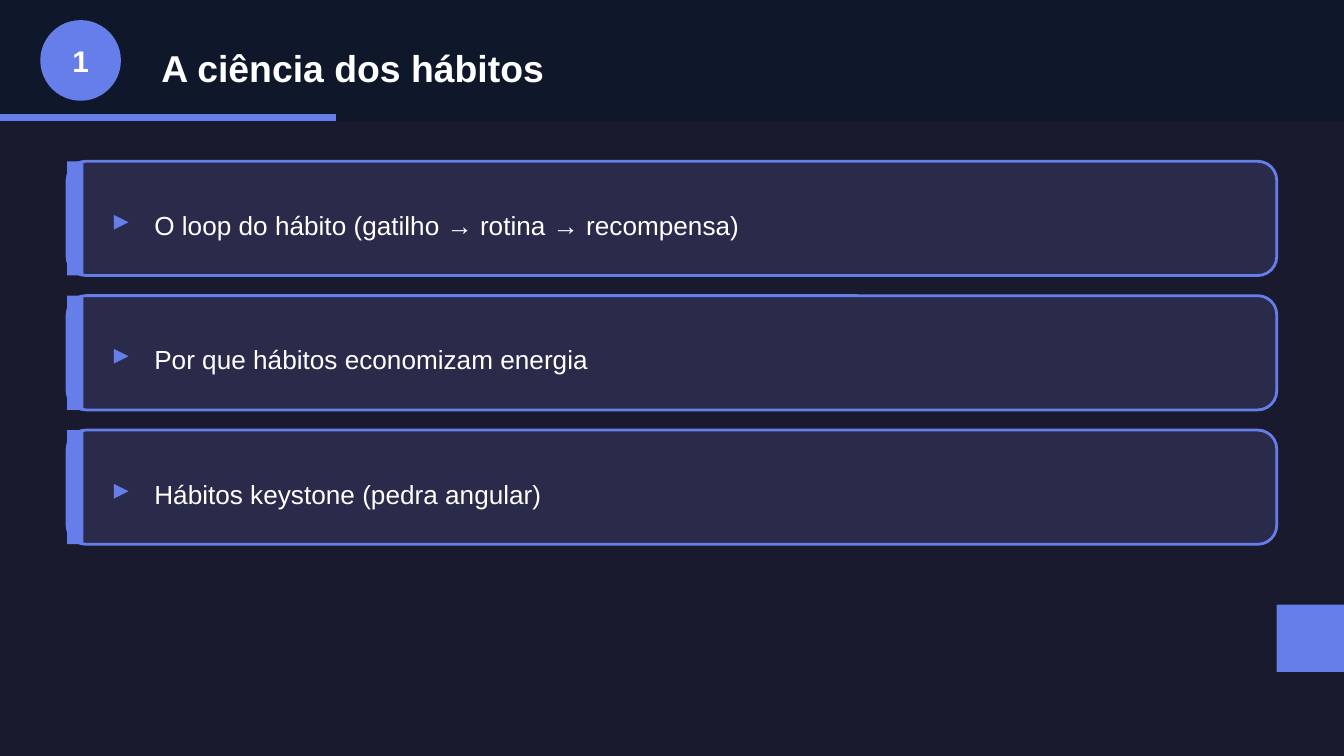
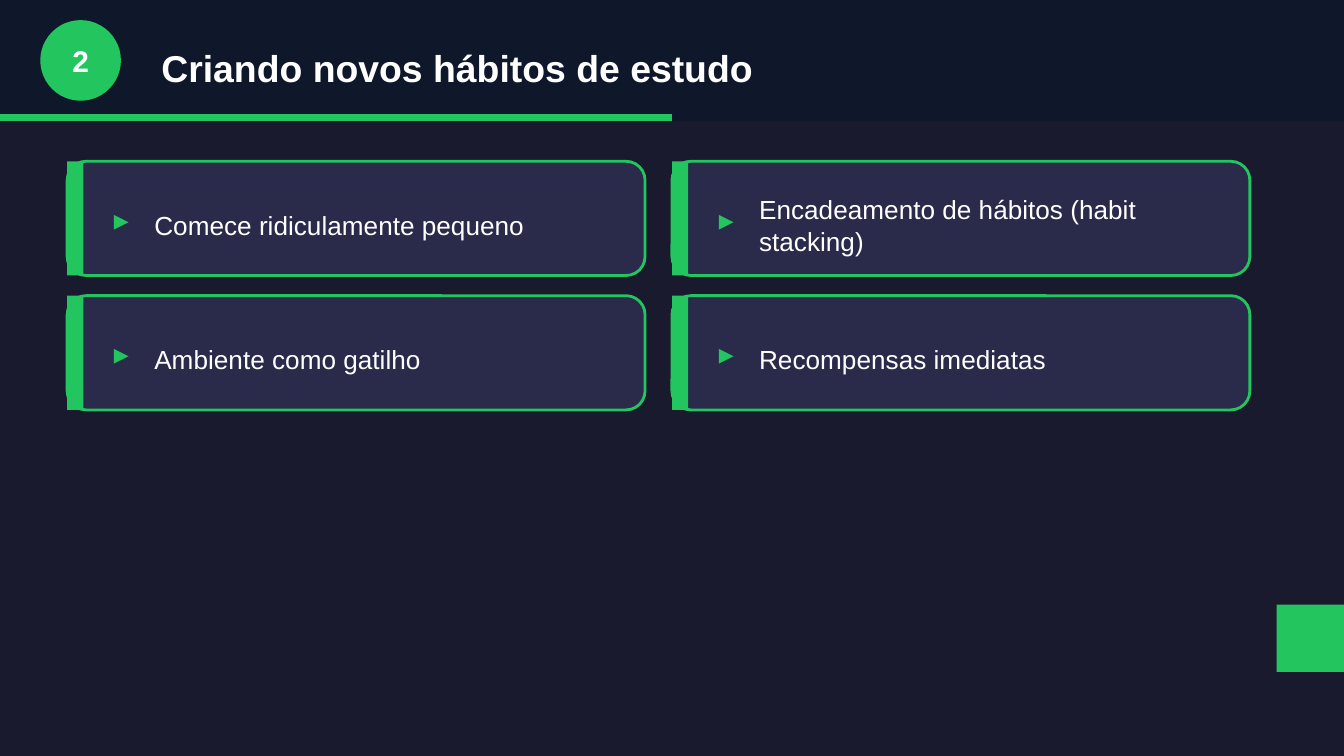
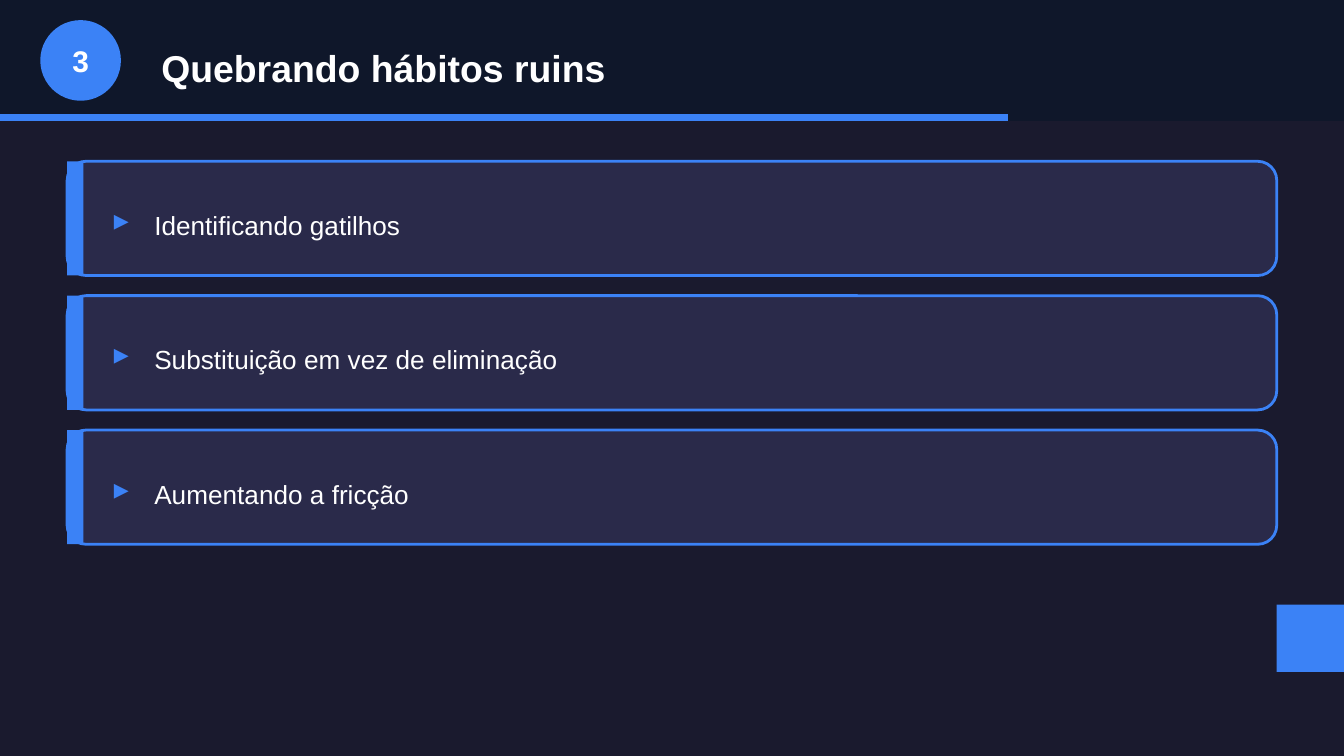
from pptx import Presentation
from pptx.dml.color import RGBColor
from pptx.enum.shapes import MSO_SHAPE
from pptx.enum.text import MSO_ANCHOR, MSO_AUTO_SIZE, PP_ALIGN
from pptx.util import Inches, Pt

COLORS = {
    "background": "1A1A2E",
    "band": "0F172A",
    "card": "2A2A4A",
    "text": "FFFFFF",
    "indigo": "667EEA",
    "green": "22C55E",
    "blue": "3B82F6",
}

FONTS = {
    "number": {"name": "Arial", "size": Pt(16), "bold": True},
    "title": {"name": "Arial", "size": Pt(20), "bold": True},
    "marker": {"name": "Arial", "size": Pt(16), "bold": True},
    "item": {"name": "Arial", "size": Pt(14), "bold": False},
}

FRAME = {
    "word_wrap": True,
    "auto_size": MSO_AUTO_SIZE.NONE,
    "vertical_anchor": MSO_ANCHOR.MIDDLE,
    "margin_left": Inches(0.1),
    "margin_right": Inches(0.1),
    "margin_top": Inches(0.05),
    "margin_bottom": Inches(0.05),
}

SLIDES = [
    ("A ciência dos hábitos", "indigo", 1, 9, [
        "O loop do hábito (gatilho → rotina → recompensa)",
        "Por que hábitos economizam energia",
        "Hábitos keystone (pedra angular)",
    ]),
    ("Criando novos hábitos de estudo", "green", 2, 4.3, [
        "Comece ridiculamente pequeno",
        "Encadeamento de hábitos (habit stacking)",
        "Ambiente como gatilho",
        "Recompensas imediatas",
    ]),
    ("Quebrando hábitos ruins", "blue", 1, 9, [
        "Identificando gatilhos",
        "Substituição em vez de eliminação",
        "Aumentando a fricção",
    ]),
]


def add_block(s, kind, x, y, w, h, fill, line=None):
    sp = s.shapes.add_shape(kind, Inches(x), Inches(y), Inches(w), Inches(h))
    sp.shadow.inherit = False
    sp.fill.solid()
    sp.fill.fore_color.rgb = RGBColor.from_string(COLORS[fill])
    if line:
        sp.line.color.rgb = RGBColor.from_string(COLORS[line])
        sp.line.width = Pt(1.5)
    else:
        sp.line.fill.background()


def put_text(sp, x, y, w, h, text, font, color="text", align=PP_ALIGN.LEFT):
    sp.left, sp.top, sp.width, sp.height = Inches(x), Inches(y), Inches(w), Inches(h)
    tf = sp.text_frame
    for key, value in FRAME.items():
        setattr(tf, key, value)
    p = tf.paragraphs[0]
    p.alignment = align
    r = p.add_run()
    r.text = text
    for key, value in FONTS[font].items():
        setattr(r.font, key, value)
    r.font.color.rgb = RGBColor.from_string(COLORS[color])


prs = Presentation()
prs.slide_width = Inches(10)
prs.slide_height = prs.slide_width * 9 // 16
bg = prs.slide_master.background.fill
bg.solid()
bg.fore_color.rgb = RGBColor.from_string(COLORS["background"])

for number, (heading, accent, columns, card_w, items) in enumerate(SLIDES, 1):
    s = prs.slides.add_slide(prs.slide_layouts[5])
    title = s.shapes.title

    add_block(s, MSO_SHAPE.RECTANGLE, 0, 0, 10, 0.9, "band")
    add_block(s, MSO_SHAPE.RECTANGLE, 0, 0.85, 2.5 * number, 0.05, accent)
    add_block(s, MSO_SHAPE.OVAL, 0.3, 0.15, 0.6, 0.6, accent)
    put_text(s.shapes.add_textbox(0, 0, 0, 0), 0.3, 0.25, 0.6, 0.4,
             str(number), "number", align=PP_ALIGN.CENTER)
    put_text(title, 1.1, 0.25, 8.5, 0.5, heading, "title")
    s.shapes.element.append(title.element)

    for i, item in enumerate(items):
        row, column = divmod(i, columns)
        x, y = 0.5 + 4.5 * column, 1.2 + row
        add_block(s, MSO_SHAPE.ROUNDED_RECTANGLE, x, y, card_w, 0.85, "card", accent)
        add_block(s, MSO_SHAPE.RECTANGLE, x, y, 0.12, 0.85, accent)
        put_text(s.shapes.add_textbox(0, 0, 0, 0), x + 0.25, y + 0.25, 0.3, 0.35,
                 "▸", "marker", accent)
        put_text(s.shapes.add_textbox(0, 0, 0, 0), x + 0.55, y + 0.25, card_w - 0.8, 0.45,
                 item, "item")

    add_block(s, MSO_SHAPE.RECTANGLE, 9.5, 4.5, 0.5, 0.5, accent)

prs.save("out.pptx")
